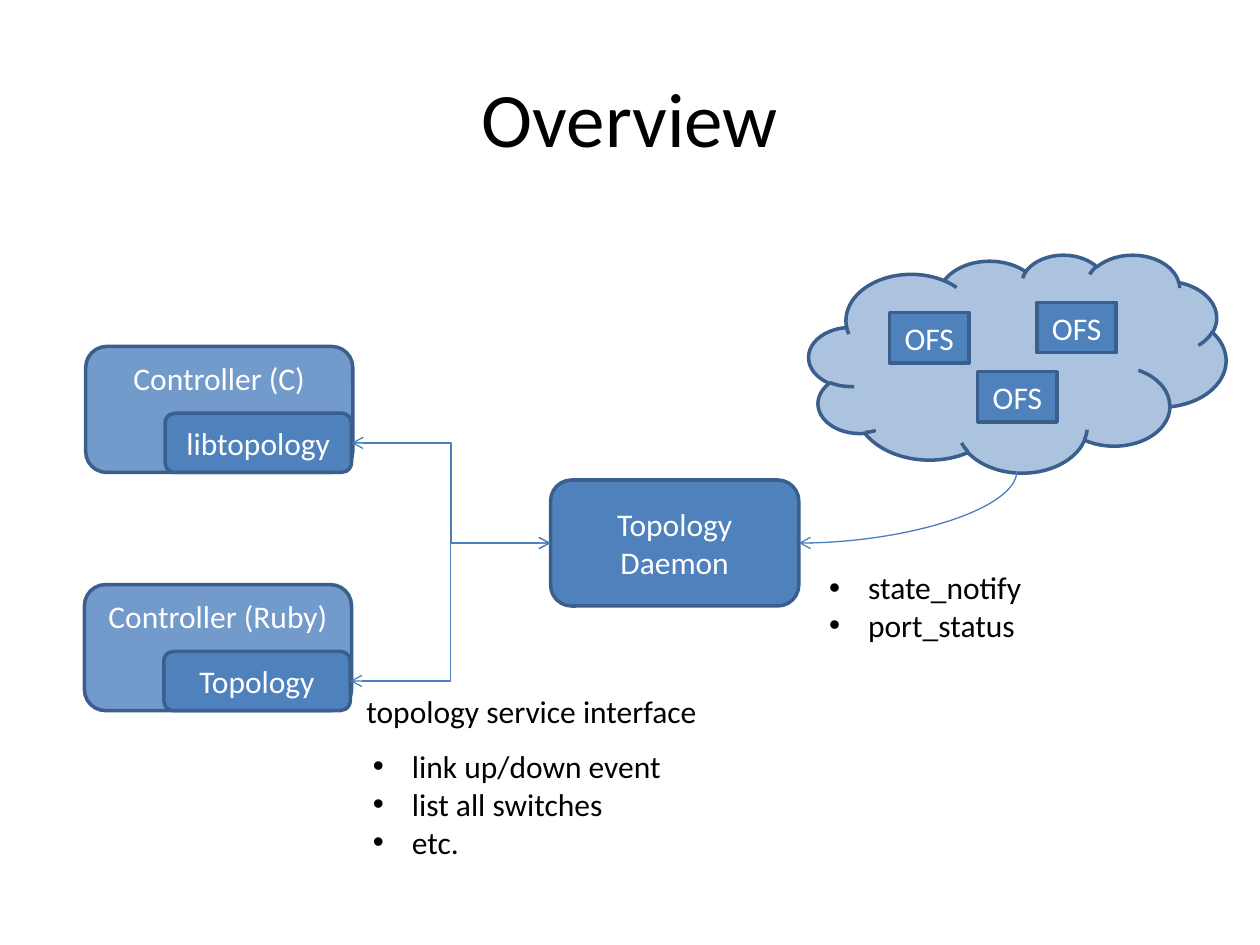
from dataclasses import dataclass

from lxml import etree
from pptx import Presentation
from pptx.dml.color import RGBColor
from pptx.enum import shapes as es, text as et
from pptx.oxml.ns import qn
from pptx.util import Inches, Pt


@dataclass(frozen=True)
class Theme:
    """Colours, font and type sizes of the slide."""
    font: str = "Calibri"
    blue: str = "4F81BD"
    edge: str = "3A5F8C"
    wire: str = "4B7EBC"
    white: str = "FFFFFF"
    black: str = "000000"
    head: int = 44
    body: int = 18


@dataclass(frozen=True)
class Box:
    """A filled shape; alpha is its opacity in percent."""
    label: str
    left: float
    top: float
    width: float
    height: float
    kind: es.MSO_SHAPE = es.MSO_SHAPE.ROUNDED_RECTANGLE
    alpha: int = 100
    anchor: et.MSO_ANCHOR = et.MSO_ANCHOR.MIDDLE


THEME = Theme()
TOP = et.MSO_ANCHOR.TOP
CLOUD = Box("", 6.42, 2.02, 3.31, 1.73, es.MSO_SHAPE.CLOUD, 47)
DAEMON = Box("Topology Daemon", 4.37, 3.81, 1.97, 1)
# Each controller: its label, its library, left and top
CONTROLS = [("Controller (C)", "libtopology", 0.68, 2.75),
            ("Controller (Ruby)", "Topology", 0.67, 4.64)]
SWITCHES = [(7.06, 2.48), (8.23, 2.4), (7.76, 2.95)]


def style(frame, size: int, color: str) -> None:
    """Format every run of a text frame."""
    for para in frame.paragraphs:
        for run in para.runs:
            run.font.name = THEME.font
            run.font.size = Pt(size)
            run.font.color.rgb = RGBColor.from_string(color)


def place(shape, left: float, top: float, width: float, height: float) -> None:
    """Move and size a shape, in inches."""
    shape.left, shape.top = Inches(left), Inches(top)
    shape.width, shape.height = Inches(width), Inches(height)


def draw_box(slide, box: Box):
    """Draw a box with its centred label and return it."""
    size = map(Inches, (box.left, box.top, box.width, box.height))
    shape = slide.shapes.add_shape(box.kind, *size)
    shape.shadow.inherit = False
    shape.fill.solid()
    shape.fill.fore_color.rgb = RGBColor.from_string(THEME.blue)
    if box.alpha < 100:
        color = shape._element.spPr.find(qn("a:solidFill"))[0]
        etree.SubElement(color, qn("a:alpha"), val=str(box.alpha * 1000))
    shape.line.color.rgb = RGBColor.from_string(THEME.edge)
    shape.line.width = Pt(2)
    if box.label:
        frame = shape.text_frame
        frame.text = box.label
        frame.word_wrap = True
        frame.vertical_anchor = box.anchor
        frame.paragraphs[0].alignment = et.PP_ALIGN.CENTER
        style(frame, THEME.body, THEME.white)
    return shape


def draw_wire(slide, kind: es.MSO_CONNECTOR, start: tuple[float, float],
              end: tuple[float, float], ends: tuple[str, ...]):
    """Draw a connector with open arrows at the named ends."""
    wire = slide.shapes.add_connector(kind, *map(Inches, start + end))
    wire.line.color.rgb = RGBColor.from_string(THEME.wire)
    wire.line.width = Pt(0.75)
    line = wire.line._get_or_add_ln()
    for name in ends:
        etree.SubElement(line, qn(f"a:{name}"), type="arrow")
    etree.SubElement(wire._element.spPr, qn("a:effectLst"))
    return wire


def draw_list(holder, lines: list[str], *area: float) -> None:
    """Fill a body placeholder with a bulleted list."""
    place(holder, *area)
    frame = holder.text_frame
    frame.text = "\n".join(lines)
    frame.auto_size = et.MSO_AUTO_SIZE.NONE
    for para in frame.paragraphs:
        para.space_before = Pt(0)
        props = para._p.get_or_add_pPr()
        props.set("marL", str(Inches(0.31)))
        props.set("indent", str(-Inches(0.31)))
        font = etree.SubElement(props, qn("a:buFont"))
        font.set("typeface", "Arial")
        etree.SubElement(props, qn("a:buChar"), char="•")
    style(frame, THEME.body, THEME.black)


def draw_title(slide) -> None:
    """Set the slide title."""
    title = slide.shapes.title
    place(title, 0.5, 0.3, 9, 1.25)
    title.text_frame.text = "Overview"
    title.text_frame.vertical_anchor = et.MSO_ANCHOR.MIDDLE
    style(title.text_frame, THEME.head, THEME.black)


def draw_note(slide, label: str, *area: float) -> None:
    """Draw one line of plain text."""
    frame = slide.shapes.add_textbox(*map(Inches, area)).text_frame
    frame.text = label
    frame.word_wrap = False
    style(frame, THEME.body, THEME.black)


def draw_curve(slide) -> None:
    """Draw the quarter curve from the cloud to the daemon."""
    curve = draw_wire(slide, es.MSO_CONNECTOR.CURVE, (6.92, 3.16),
                      (7.49, 4.89), ("tailEnd",))
    props = curve._element.spPr
    props.find(qn("a:xfrm")).set("rot", str(90 * 60000))
    props.find(qn("a:prstGeom")).set("prst", "curvedConnector2")


def main() -> None:
    """Build and save the slide."""
    deck = Presentation()
    deck.slide_width, deck.slide_height = Inches(10), Inches(7.5)
    slide = deck.slides.add_slide(deck.slide_layouts.get_by_name("Two Content"))
    draw_title(slide)
    holders = slide.placeholders
    draw_list(holders[1], ["state_notify", "port_status"],
              6.48, 4.46, 1.75, 0.71)
    draw_list(holders[2], ["link up/down event", "list all switches", "etc."],
              2.86, 5.88, 2.52, 1.01)

    daemon = draw_box(slide, DAEMON)
    for label, part, left, top in CONTROLS:
        draw_box(slide, Box(label, left, top, 2.12, 1, alpha=80, anchor=TOP))
        lib = draw_box(slide, Box(part, left + 0.63, top + 0.53, 1.48, 0.47))
        wire = draw_wire(slide, es.MSO_CONNECTOR.ELBOW,
                         (left + 2.11, top + 0.76), (4.37, 4.31),
                         ("headEnd", "tailEnd"))
        wire.begin_connect(lib, 3)
        wire.end_connect(daemon, 1)
    draw_box(slide, CLOUD)
    draw_curve(slide)
    for left, top in SWITCHES:
        draw_box(slide, Box("OFS", left, top, 0.63, 0.4,
                            es.MSO_SHAPE.RECTANGLE))
    draw_note(slide, "topology service interface", 2.81, 5.44, 2.85, 0.4)
    deck.save("out.pptx")


main()
